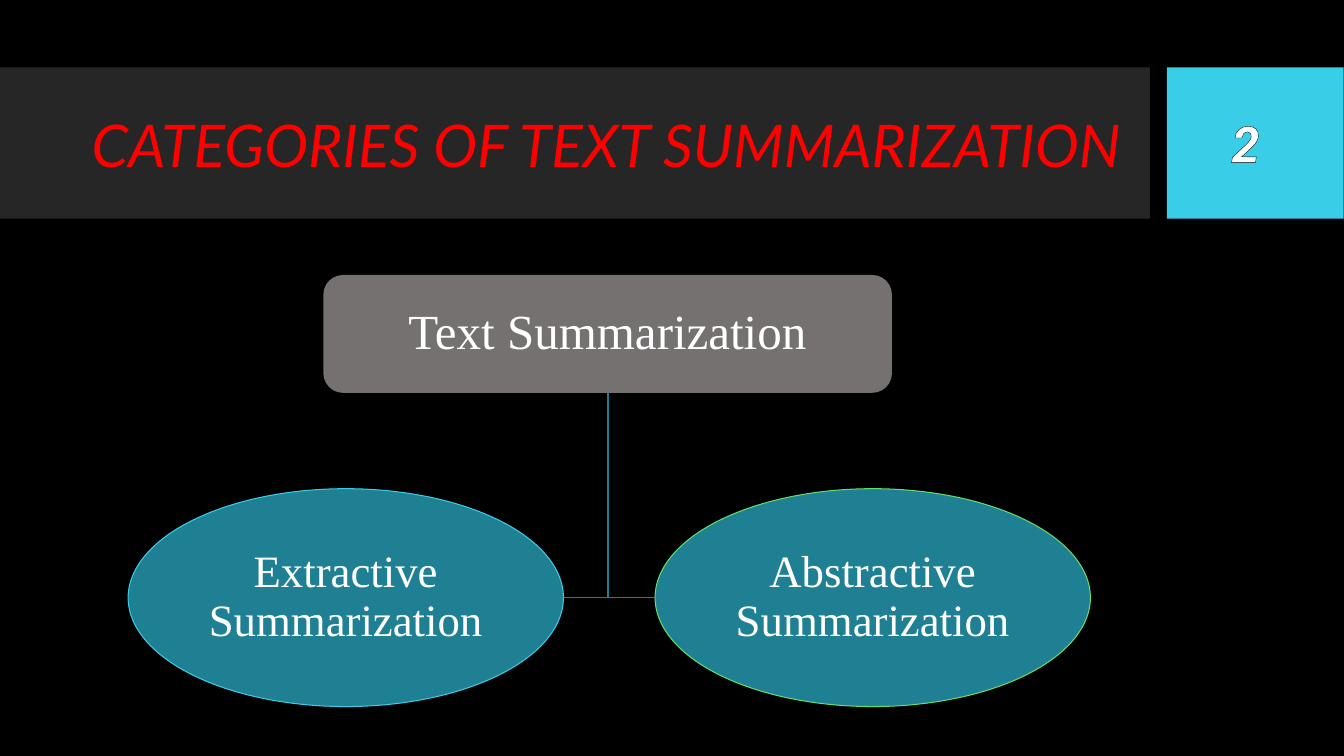
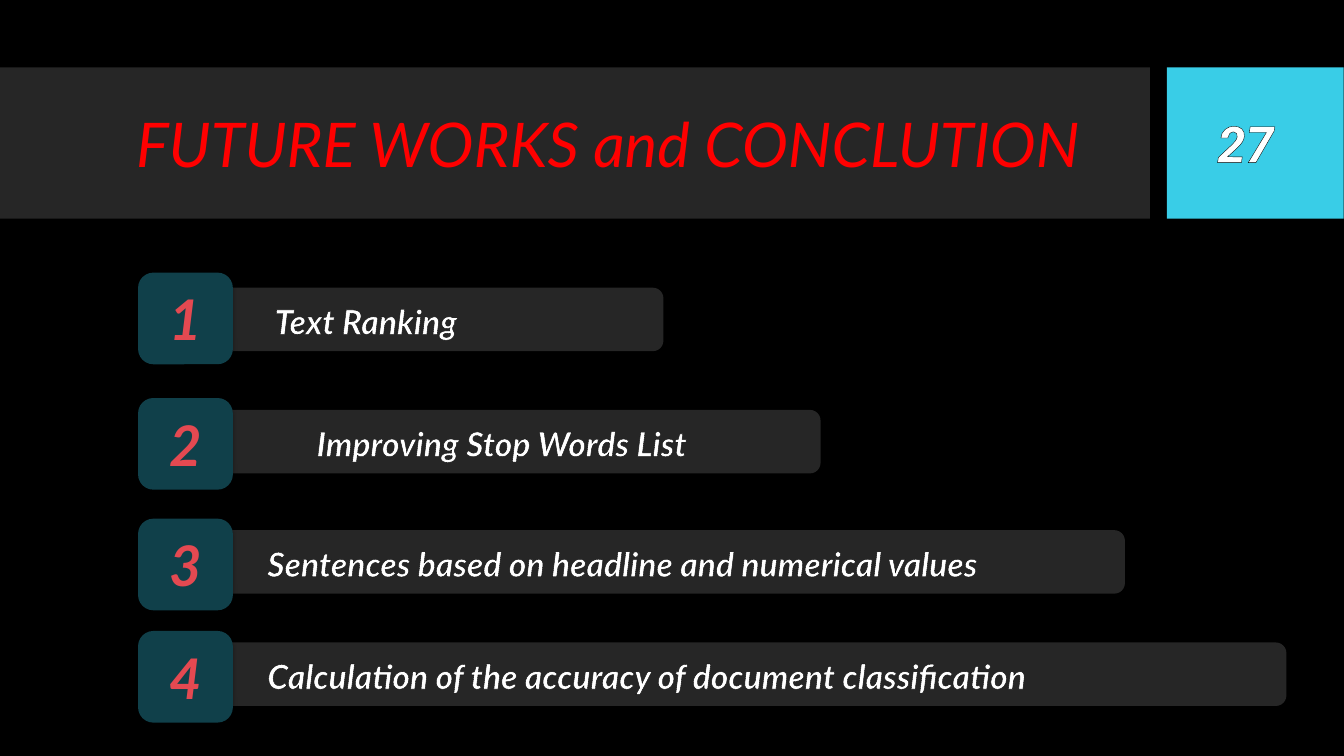
import pptx
import pptx.util
import pptx.dml.color
import pptx.enum.shapes
import pptx.enum.text
import pptx.oxml
import pptx.oxml.ns

Cm = pptx.util.Cm
Pt = pptx.util.Pt
KIND = pptx.enum.shapes.MSO_SHAPE
ALIGN = pptx.enum.text.PP_ALIGN
MIDDLE = pptx.enum.text.MSO_ANCHOR.MIDDLE

BLACK, WHITE, RED = "000000", "FFFFFF", "FF0000"
BAND, CYAN, TEAL = "262626", "39CDE7", "1F8094"
GREY, GREEN, DEEP, CORAL = "767171", "60DE72", "10404A", "E44951"
SERIF, SANS = "Times New Roman", "Lato"

LINE = '<a:ln %s w="9525"><a:solidFill><a:srgbClr val="%s"/></a:solidFill></a:ln>'
SHADE = (
    '<a:outerShdw %s blurRad="44450" dist="27940" dir="5400000">'
    '<a:srgbClr val="%s"><a:alpha val="32000"/></a:srgbClr></a:outerShdw>'
)


def color(code):
    """Turn a hex string into a colour."""
    return pptx.dml.color.RGBColor.from_string(code)


def parse(xml, code):
    """Build a drawing element with one colour."""
    return pptx.oxml.parse_xml(xml % (pptx.oxml.ns.nsdecls("a"), code))


def write(shape, text, size, font=SANS, ink=WHITE, bold=False, slant=True,
          edge=True, align=ALIGN.LEFT, space=None, after=0, inset=None, left=0.25):
    """Put one formatted paragraph into a shape."""
    frame = shape.text_frame
    frame.word_wrap = True
    frame.vertical_anchor = MIDDLE
    frame.margin_left = Cm(left)
    if inset is not None:
        frame.margin_left = frame.margin_right = Cm(inset)
        frame.margin_top = frame.margin_bottom = Cm(inset)
    line = frame.paragraphs[0]
    line.alignment = align
    line.space_after = Pt(after)
    if space:
        line.line_spacing = space
    run = line.add_run()
    run.text = text
    run.font.name = font
    run.font.size = Pt(size)
    run.font.bold = bold
    run.font.italic = slant
    run.font.color.rgb = color(ink)
    if edge:
        run.font._element.insert(0, parse(LINE, BLACK))


def draw(slide, kind, box, fill, line=None, shade=False):
    """Add a filled preset shape; box is left, top, width, height in cm."""
    shape = slide.shapes.add_shape(kind, *map(Cm, box))
    shape.shadow.inherit = False
    shape.fill.solid()
    shape.fill.fore_color.rgb = color(fill)
    if line:
        shape.line.color.rgb = color(line)
        shape.line.width = Pt(0.75)
    else:
        shape.line.fill.background()
    if shade:
        effects = shape._element.spPr.find(pptx.oxml.ns.qn("a:effectLst"))
        effects.append(parse(SHADE, BLACK))
    return shape


def label(slide, box, text, size, **style):
    """Add a text box."""
    write(slide.shapes.add_textbox(*map(Cm, box)), text, size, **style)


def branch(slide, points):
    """Add an open bent line through the points."""
    spots = [(Cm(x), Cm(y)) for x, y in points]
    pen = slide.shapes.build_freeform(*spots[0])
    pen.add_line_segments(spots[1:], close=False)
    shape = pen.convert_to_shape()
    shape.shadow.inherit = False
    shape.fill.background()
    shape.line.color.rgb = color(TEAL)
    shape.line.width = Pt(1)


def start(deck, title, size, left, page):
    """Add a slide with bands, title and page number."""
    slide = deck.slides.add_slide(deck.slide_layouts[6])
    draw(slide, KIND.RECTANGLE, (0, 1.7, 28.98, 3.81), BAND)
    draw(slide, KIND.RECTANGLE, (29.41, 1.7, 4.45, 3.81), CYAN)
    label(slide, (left, 0.53, 28.6 - left, 6.4), title, size, ink=RED, space=0.9)
    label(slide, (29.79, 2.08, 3.2, 3.02), str(page), 36, font="Roboto",
          bold=True, align=ALIGN.CENTER)
    return slide


def node(slide, kind, box, text, size, fill, line=None):
    """Add a labelled node of the tree."""
    write(draw(slide, kind, box, fill, line), text, size, font=SERIF, slant=False,
          edge=False, align=ALIGN.CENTER, space=0.9, inset=0.05)


def tree(slide):
    """Draw the root, its two kinds and their branches."""
    mid, base, level = 15.32, 9.9, 15.06
    wide, high = 10.97, 5.49
    kinds = [
        ("Extractive Summarization", 3.23, 14.2, CYAN),
        ("Abstractive Summarization", 16.51, 16.51, GREEN),
    ]
    for _, _, end, _ in kinds:
        branch(slide, [(mid, base), (mid, level), (end, level)])
    node(slide, KIND.ROUNDED_RECTANGLE, (8.15, 6.93, 14.33, 2.97),
         "Text Summarization", 35, GREY)
    for text, left, _, line in kinds:
        node(slide, KIND.OVAL, (left, level - high / 2, wide, high), text, 32, TEAL, line)


def item(slide, rank, text, top, drop, width, left):
    """Add a numbered chip with its bar."""
    bar = draw(slide, KIND.ROUNDED_RECTANGLE, (5.11, top + drop, width, 1.6),
               BAND, shade=True)
    write(bar, text, 24, bold=True, space=1.07, after=8, left=left)
    chip = draw(slide, KIND.ROUNDED_RECTANGLE, (3.48, top, 2.39, 2.31), DEEP, shade=True)
    write(chip, str(rank), 40, ink=CORAL, bold=True, align=ALIGN.CENTER)


def main():
    """Build and save the slides."""
    deck = pptx.Presentation()
    deck.slide_width, deck.slide_height = Cm(33.87), Cm(19.05)
    back = deck.slide_master.background.fill
    back.solid()
    back.fore_color.rgb = color(BLACK)

    tree(start(deck, "CATEGORIES OF TEXT SUMMARIZATION", 42, 2.06, 2))

    plans = start(deck, "FUTURE WORKS and CONCLUTION", 44, 3.18, 27)
    items = [
        ("Text Ranking", 6.87, 0.38, 11.61, 1.73),
        ("Improving Stop Words List", 10.03, 0.3, 15.57, 2.79),
        ("Sentences based on headline and numerical values", 13.07, 0.29, 23.24, 1.55),
        ("Calculation of the accuracy of document classification", 15.9, 0.29, 27.31, 1.55),
    ]
    for rank, row in enumerate(items, 1):
        item(plans, rank, *row)
    deck.save("out.pptx")


main()
